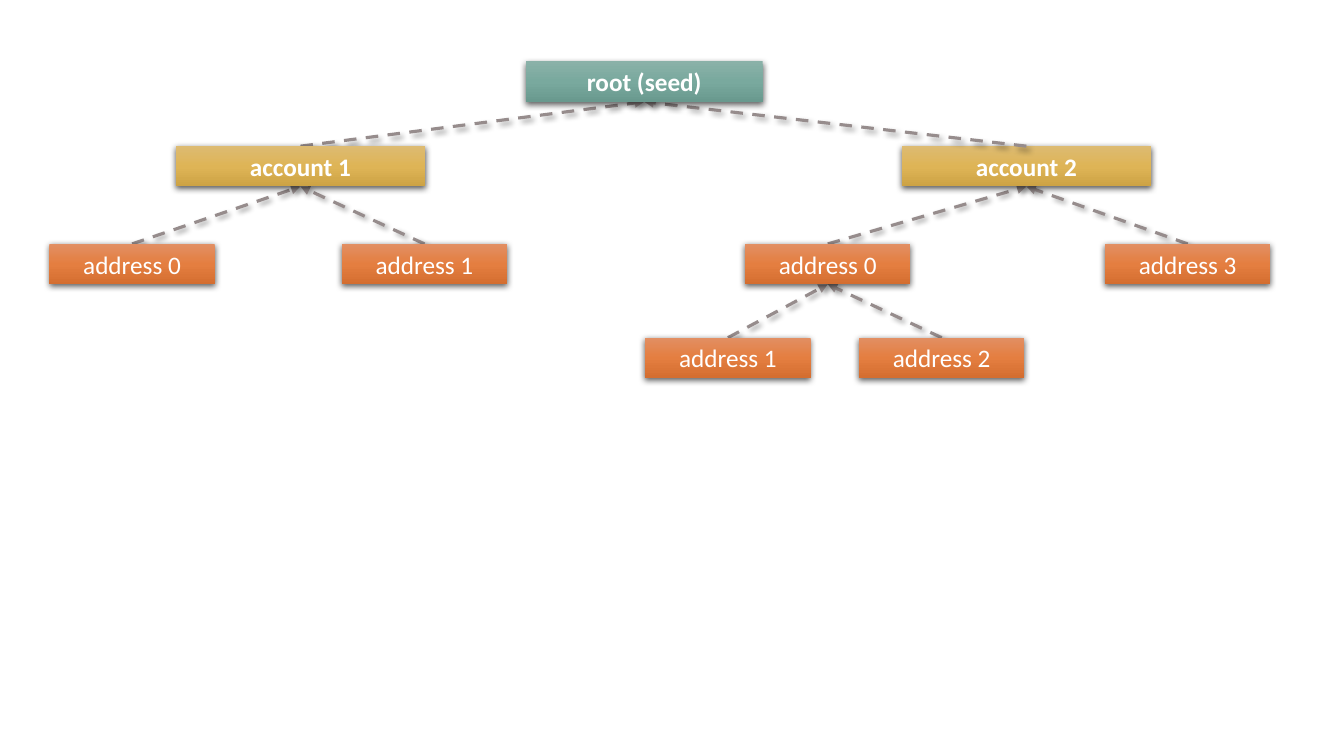
"""Build a slide with a tree of accounts and addresses below one root."""
from copy import deepcopy
from dataclasses import dataclass

from lxml import etree
from pptx import Presentation
from pptx.dml.color import RGBColor
from pptx.enum.dml import MSO_LINE
from pptx.enum.shapes import MSO_CONNECTOR, MSO_SHAPE
from pptx.enum.text import MSO_ANCHOR, MSO_AUTO_SIZE, PP_ALIGN
from pptx.oxml.ns import qn
from pptx.util import Inches, Pt

RECTANGLE = MSO_SHAPE.RECTANGLE
STRAIGHT = MSO_CONNECTOR.STRAIGHT
DASH = MSO_LINE.DASH
CENTER = PP_ALIGN.CENTER
MIDDLE = MSO_ANCHOR.MIDDLE
GROW = MSO_AUTO_SIZE.SHAPE_TO_FIT_TEXT
BLANK_LAYOUT = 6
TOP_SITE, BOTTOM_SITE = 0, 2


@dataclass(frozen=True)
class Shadow:
    """Opacity in percent, blur and distance in points, angle in degrees."""
    opacity: int
    blur: float
    distance: float
    angle: int


@dataclass(frozen=True)
class Kind:
    """Look and width in inches of one kind of node."""
    width: float
    gradient: tuple
    bold: bool


@dataclass(frozen=True)
class Node:
    """A node with its center relative to the tree, its level and its parent."""
    text: str
    kind: Kind
    center: float
    level: int
    parent: str = ""


class Theme:
    """Colours, type and effects of the slide."""
    font = "Calibri"
    size = Pt(18)
    text = RGBColor.from_string("FFFFFF")
    link = RGBColor.from_string("968C8C")
    link_width = Pt(2.25)
    link_shadow = Shadow(40, 4, 3, 45)
    node_shadow = Shadow(63, 4.5, 1.5, 90)
    root = Kind(2.35, ("8AB1A8", "79A99E", "69998E"), True)
    account = Kind(2.47, ("DDBB72", "DEB456", "CDA345"), True)
    address = Kind(1.64, ("E28F63", "E47E40", "D46E30"), False)


NODE_HEIGHT = 0.4
LEVEL_TOPS = (0, 0.84, 1.81, 2.74)
NODES = {
    "account 1": Node("account 1", Theme.account, 2.49, 1, "root"),
    "account 2": Node("account 2", Theme.account, 9.69, 1, "root"),
    "1/0": Node("address 0", Theme.address, 0.82, 2, "account 1"),
    "1/1": Node("address 1", Theme.address, 3.72, 2, "account 1"),
    "2/0": Node("address 0", Theme.address, 7.72, 2, "account 2"),
    "2/3": Node("address 3", Theme.address, 11.29, 2, "account 2"),
    "2/0/2": Node("address 2", Theme.address, 8.85, 3, "2/0"),
    "2/0/1": Node("address 1", Theme.address, 6.73, 3, "2/0"),
    "root": Node("root (seed)", Theme.root, 5.9, 0),
}
FRONT_LINK = "account 2"


def add_shadow(shape, shadow):
    """Give a shape or connector a black outer shadow."""
    effects = etree.SubElement(shape.element.spPr, qn("a:effectLst"))
    outer = etree.SubElement(
        effects, qn("a:outerShdw"), blurRad=str(Pt(shadow.blur)),
        dist=str(Pt(shadow.distance)), dir=str(shadow.angle * 60000),
        rotWithShape="0")
    color = etree.SubElement(outer, qn("a:srgbClr"), val="000000")
    etree.SubElement(color, qn("a:alpha"), val=str(shadow.opacity * 1000))


def fill_gradient(shape, colors):
    """Fill a shape from top to bottom with three evenly spaced colours."""
    shape.fill.gradient()
    shape.fill.gradient_angle = 270
    stops = shape.element.spPr.find(".//" + qn("a:gsLst"))
    stops.append(deepcopy(stops[0]))
    for index, stop in enumerate(shape.fill.gradient_stops):
        stop.position = index / (len(colors) - 1)
        stop.color.rgb = RGBColor.from_string(colors[index])


def add_node(slide, node, left, top):
    """Draw one node in the tree whose corner is at left and top."""
    shape = slide.shapes.add_shape(
        RECTANGLE, Inches(left + node.center - node.kind.width / 2),
        Inches(top + LEVEL_TOPS[node.level]),
        Inches(node.kind.width), Inches(NODE_HEIGHT))
    fill_gradient(shape, node.kind.gradient)
    shape.line.fill.background()
    add_shadow(shape, Theme.node_shadow)
    frame = shape.text_frame
    frame.text = node.text
    frame.auto_size = GROW
    frame.vertical_anchor = MIDDLE
    paragraph = frame.paragraphs[0]
    paragraph.alignment = CENTER
    font = paragraph.font
    font.name, font.size, font.bold = Theme.font, Theme.size, node.kind.bold
    font.color.rgb = Theme.text
    return shape


def add_link(slide, child, parent):
    """Draw a dashed arrow from the child's top to the parent's bottom."""
    link = slide.shapes.add_connector(STRAIGHT, 0, 0, 0, 0)
    link.begin_connect(child, TOP_SITE)
    link.end_connect(parent, BOTTOM_SITE)
    link.line.color.rgb = Theme.link
    link.line.width = Theme.link_width
    link.line.dash_style = DASH
    outline = link.element.spPr.find(qn("a:ln"))
    etree.SubElement(outline, qn("a:tailEnd"), type="triangle")
    add_shadow(link, Theme.link_shadow)
    return link


def add_tree(slide, left, top):
    """Draw the nodes and stack their links behind the right ones."""
    shapes = {key: add_node(slide, node, left, top)
              for key, node in NODES.items()}
    backmost = next(iter(shapes.values()))
    for key, node in NODES.items():
        if node.parent:
            link = add_link(slide, shapes[key], shapes[node.parent])
            above = shapes["root"] if key == FRONT_LINK else backmost
            above.element.addprevious(link.element)


def main():
    """Build and save the presentation."""
    presentation = Presentation()
    presentation.slide_width = Inches(13.33)
    presentation.slide_height = Inches(7.5)
    layout = presentation.slide_layouts[BLANK_LAYOUT]
    slide = presentation.slides.add_slide(layout)
    add_tree(slide, left=0.49, top=0.61)
    presentation.save("out.pptx")


main()
